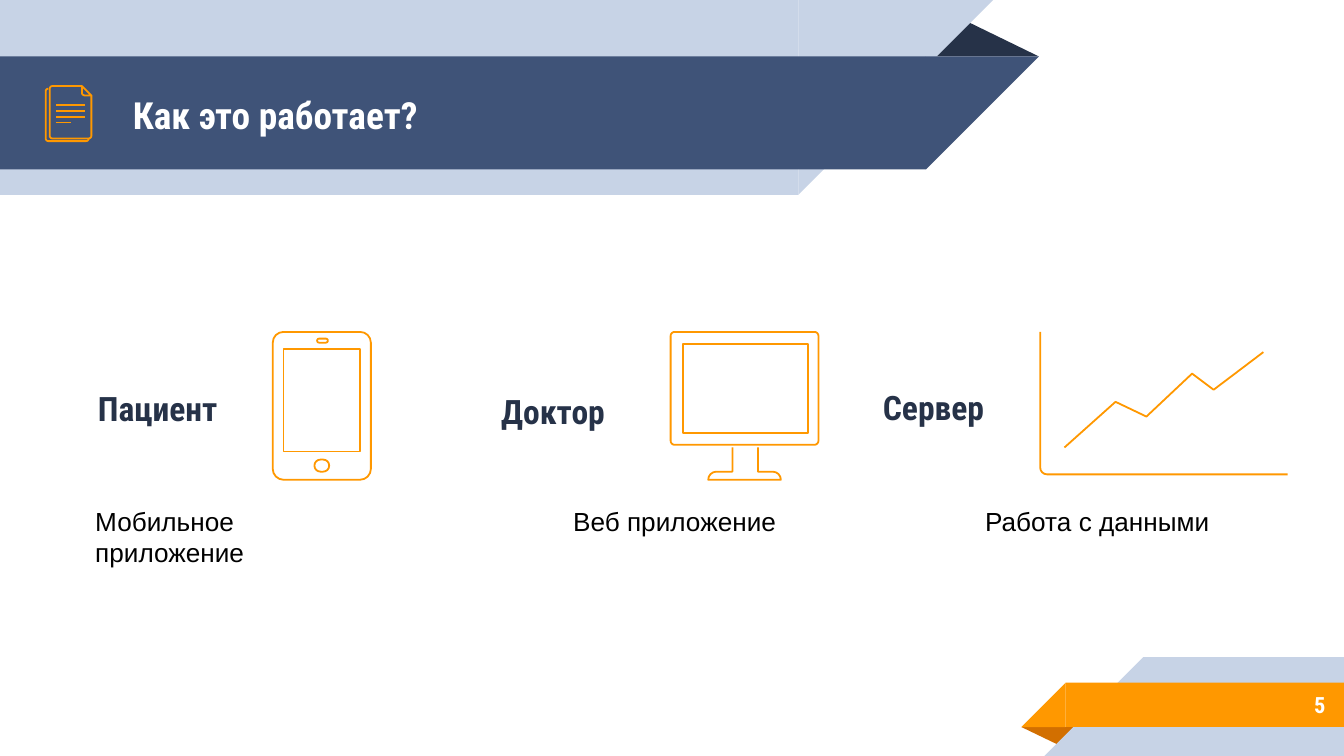
from math import cos, radians, sin

from lxml import etree
from pptx import Presentation
from pptx.dml.color import RGBColor
from pptx.enum.shapes import MSO_CONNECTOR, MSO_SHAPE
from pptx.enum.text import MSO_ANCHOR, PP_ALIGN
from pptx.oxml.ns import qn
from pptx.util import Inches, Pt

RECT, WEDGE = MSO_SHAPE.RECTANGLE, MSO_SHAPE.RIGHT_TRIANGLE
FOLD, LINE = MSO_SHAPE.ISOSCELES_TRIANGLE, MSO_CONNECTOR.STRAIGHT
LEFT, CENTER, RIGHT = PP_ALIGN.LEFT, PP_ALIGN.CENTER, PP_ALIGN.RIGHT
TOP, MIDDLE = MSO_ANCHOR.TOP, MSO_ANCHOR.MIDDLE

PALE = RGBColor(0xC7, 0xD3, 0xE6)
NAVY = RGBColor(0x3F, 0x53, 0x78)
INK = RGBColor(0x26, 0x32, 0x48)
ORANGE = RGBColor(0xFF, 0x98, 0x00)
RUST = RGBColor(0xD2, 0x6F, 0x00)
WHITE = RGBColor(0xFF, 0xFF, 0xFF)
BLACK = RGBColor(0x00, 0x00, 0x00)
HEAD, BODY = "Roboto Condensed", "Arial"

# The slide is a grid of square cells, 1000 columns by 562.5 rows.
COLS, ROWS = 1000, 562.5
CELL = Inches(10) / COLS


def cells(*counts):
    return [round(count * CELL) for count in counts]


def block(shapes, kind, box, color, turn=0):
    shape = shapes.add_shape(kind, *cells(*box))
    shape.shadow.inherit = False
    shape.fill.solid()
    shape.fill.fore_color.rgb = color
    shape.line.fill.background()
    shape.rotation = turn
    return shape


def fold(shapes, box, color, turn=0):
    block(shapes, FOLD, box, color, turn).adjustments[0] = 0.324


def ribbon(shapes, box, color, tail):
    """A band whose one end, on the tail side, is cut at 45 degrees."""
    x, y, w, h = box
    if tail == RIGHT:
        block(shapes, RECT, (x, y, w - h, h), color)
        block(shapes, WEDGE, (x + w - h, y, h, h), color, 90)
    else:
        block(shapes, RECT, (x + h, y, w - h, h), color)
        block(shapes, WEDGE, (x, y, h, h), color, 270)


def write(shapes, box, text, size, color, font=HEAD, align=LEFT,
          anchor=TOP, pad=10):
    frame = shapes.add_textbox(*cells(*box)).text_frame
    frame.word_wrap = True
    frame.vertical_anchor = anchor
    frame.margin_top, frame.margin_bottom = cells(pad, pad)
    para = frame.paragraphs[0]
    para.text, para.alignment = text, align
    para.font.size, para.font.name = Pt(size), font
    para.font.bold = font == HEAD
    para.font.color.rgb = color
    return para


def arc(x, y, r, start):
    """Points of a clockwise quarter turn around x, y."""
    if r == 0:
        return [(x, y)]
    turns = [radians(start + 22.5 * i) for i in range(5)]
    return [(x + r * cos(t), y + r * sin(t)) for t in turns]


def panel(x, y, w, h, r=0):
    """Points of a rectangle with corners of radius r."""
    right, low = x + w - r, y + h - r
    return (arc(right, low, r, 0) + arc(x + r, low, r, 90)
            + arc(x + r, y + r, r, 180) + arc(right, y + r, r, 270))


def stroke(item):
    item.line.color.rgb = ORANGE
    item.line.width = Pt(0.96)


def sketch(shapes, box, *paths, close=True):
    """Draw the paths, given from the box corner, as one outline."""
    left, top = box[:2]
    pen = None
    for path in paths:
        spots = [cells(left + x, top + y) for x, y in path]
        if pen is None:
            pen = shapes.build_freeform(*spots[0], scale=1.0)
        else:
            pen.move_to(*spots[0])
        pen.add_line_segments(spots[1:], close=close)
    shape = pen.convert_to_shape()
    shape.shadow.inherit = False
    shape.fill.background()
    stroke(shape)


def pages(shapes, box):
    back = arc(30, 39, 2, 0) + arc(2, 39, 2, 90) + arc(2, 4, 2, 180)
    front = ([(34, 7)] + arc(32, 37, 2, 0) + arc(5, 37, 2, 90)
             + arc(5, 2, 2, 180) + [(27, 0)])
    for path in back, front:
        sketch(shapes, box, path, close=False)
    x, y = box[:2]
    for i, end in enumerate((29, 29, 29, 19)):
        row = y + 14 + 4.4 * i
        rule = shapes.add_connector(LINE, *cells(x + 8, row, x + end, row))
        stroke(rule)
        etree.SubElement(rule._element.spPr, qn("a:effectLst"))
    sketch(shapes, box, [(27, 0), (34, 7)] + arc(29, 5, 2, 90))


def phone(shapes, box):
    sketch(shapes, box, panel(0, 0, 73, 110, 8), panel(33, 5, 8, 3, 1.5),
           panel(31, 95, 11, 9, 4.5), panel(8, 13, 57, 76))


def screen(shapes, box):
    foot = arc(34, 110, 6, 180)[::-1] + arc(76, 110, 6, 270)[::-1]
    stand = [(46, 86), (46, 104)] + foot + [(65, 104), (65, 86)]
    sketch(shapes, box, stand, close=False)
    sketch(shapes, box, panel(0, 0, 110, 84, 3), panel(9, 9, 93, 66))


def graph(shapes, box):
    axes = [(0, 0)] + arc(5, 101, 5, 90)[::-1] + [(184, 106)]
    trend = [(18, 86), (56, 52), (79, 63), (113, 31), (129, 43), (166, 15)]
    for path in axes, trend:
        sketch(shapes, box, path, close=False)


def header(shapes, box, title):
    x, y, w, h = box
    fold(shapes, (x + w - 85, y + 14, 85, 28), INK)
    ribbon(shapes, (x, y, w - 34, h), PALE, RIGHT)
    ribbon(shapes, (x, y + 42, w, 84), NAVY, RIGHT)
    write(shapes, (x + 89, y + 43, 575, 84), title, 20, WHITE, anchor=MIDDLE)
    pages(shapes, (x + 34, y + 64))


def footer(shapes, box, number):
    x, y, w, h = box
    fold(shapes, (x, y + 52, 43, 14), RUST, 180)
    ribbon(shapes, (x + 17, y, w - 17, h), PALE, LEFT)
    ribbon(shapes, (x, y + 19, w, 33), ORANGE, LEFT)
    write(shapes, (x + 73, y + 18, 163, 35), number, 12, WHITE,
          align=RIGHT, anchor=MIDDLE)


def step(shapes, box, name, drop, icon, shift, note, inset, align):
    """A name with an icon to its right and a note below both."""
    x, y, w, h = box
    label = write(shapes, (x, y + drop, 128, 47), name, 18, INK)
    label.space_before = Pt(6)
    icon(shapes, (x + shift, y))
    write(shapes, (x + inset, y + h - 34, w - inset, 34), note, 14, BLACK,
          BODY, align, pad=5)


def main():
    deck = Presentation()
    deck.slide_width, deck.slide_height = cells(COLS, ROWS)
    shapes = deck.slides.add_slide(deck.slide_layouts[6]).shapes
    header(shapes, (0, 0, 773, 145), "Как это работает?")
    footer(shapes, (760, 489, 240, 73.5), "5")
    steps = [
        (63, 237, "Пациент", 32, phone, 140, "Мобильное приложение", -2, LEFT),
        (363, 239, "Доктор", 34, screen, 136, "Веб приложение", 39, CENTER),
        (647, 311, "Сервер", 31, graph, 127, "Работа с данными", 28, CENTER),
    ]
    for x, w, *parts in steps:
        step(shapes, (x, 247, w, 158), *parts)
    deck.save("out.pptx")


if __name__ == "__main__":
    main()
